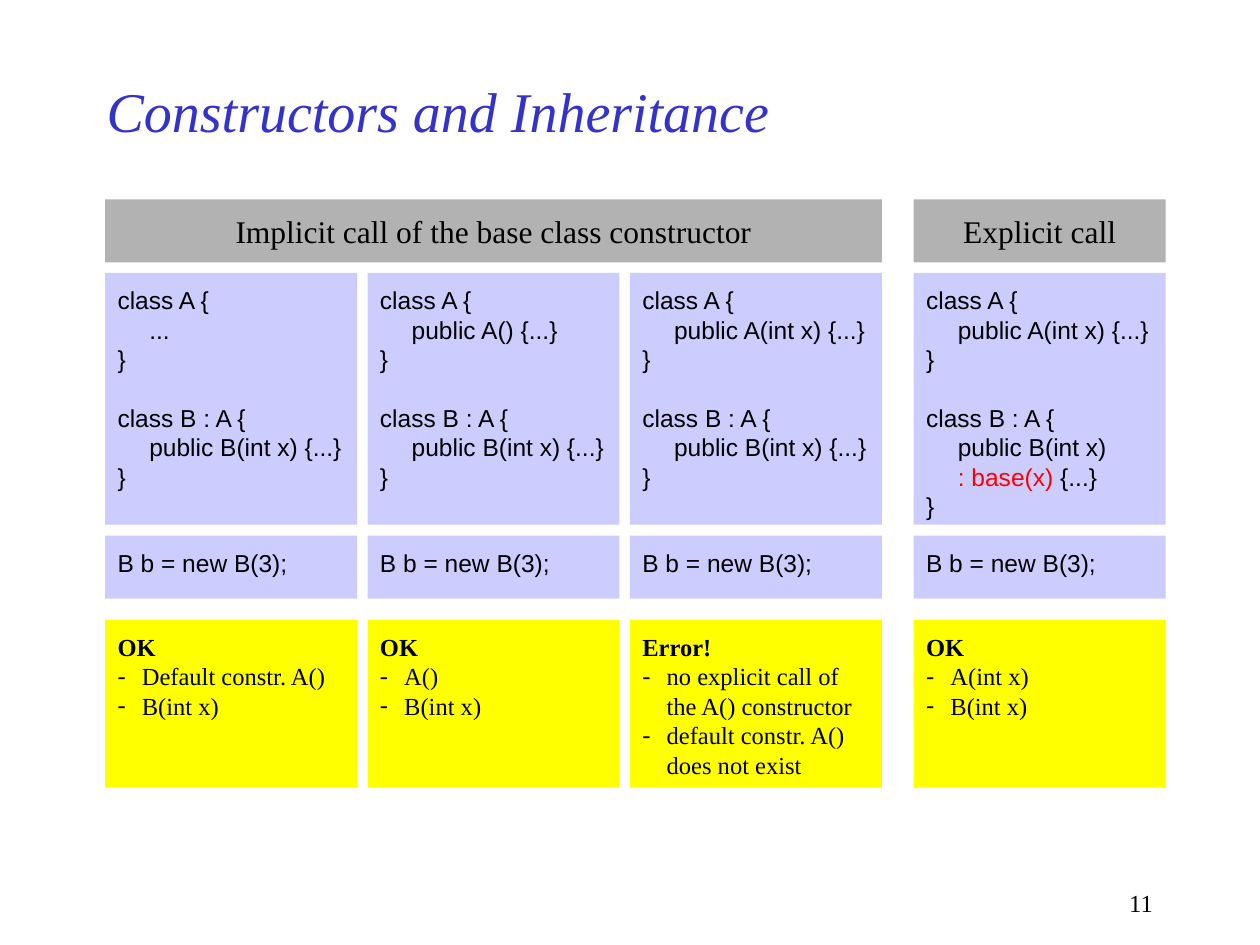
from dataclasses import dataclass

from lxml import etree
from pptx import Presentation
from pptx.dml.color import RGBColor
from pptx.enum.shapes import MSO_SHAPE
from pptx.enum.text import MSO_ANCHOR, PP_ALIGN
from pptx.oxml.ns import qn
from pptx.util import Cm, Pt

RECTANGLE = MSO_SHAPE.RECTANGLE
TOP, MIDDLE = MSO_ANCHOR.TOP, MSO_ANCHOR.MIDDLE
LEFT, CENTER, RIGHT = PP_ALIGN.LEFT, PP_ALIGN.CENTER, PP_ALIGN.RIGHT


@dataclass(frozen=True)
class Theme:
    title: str = "3333CC"
    text: str = "000000"
    accent: str = "FF0000"
    header: str = "B2B2B2"
    code: str = "CCCCFF"
    verdict: str = "FFFF00"
    serif: str = "Times New Roman"
    sans: str = "Arial"
    title_size: int = 32
    header_size: int = 18
    body_size: int = 14
    class_gap: float = 16.8


@dataclass(frozen=True)
class Band:
    """A horizontal row of boxes, in centimetres."""
    top: float
    height: float


@dataclass(frozen=True)
class Variant:
    """One column: two class bodies, the verdict and its reasons."""
    left: float
    base_body: str
    derived_body: tuple
    verdict: str
    reasons: tuple


THEME = Theme()

# Grid, in centimetres
COLUMN_WIDTH, COLUMN_PITCH, GRID_LEFT, EXPLICIT_LEFT = 5.08, 5.29, 2.12, 18.42
IMPLICIT_WIDTH = 2 * COLUMN_PITCH + COLUMN_WIDTH
HEADER, CLASSES = Band(4.02, 1.27), Band(5.5, 5.08)
CALL, VERDICT = Band(10.8, 1.27), Band(12.49, 3.39)
CODE_INDENT, DASH_INDENT = 0.64, 0.49
INSET, SLIM_INSET = 0.25, 0.13

B_BODY = ("public B(int x) {...}",)
VARIANTS = (
    Variant(GRID_LEFT, "...", B_BODY, "OK", ("Default constr. A()", "B(int x)")),
    Variant(GRID_LEFT + COLUMN_PITCH, "public A() {...}", B_BODY,
            "OK", ("A()", "B(int x)")),
    Variant(GRID_LEFT + 2 * COLUMN_PITCH, "public A(int x) {...}", B_BODY, "Error!",
            ("no explicit call of\nthe A() constructor",
             "default constr. A()\ndoes not exist")),
    Variant(EXPLICIT_LEFT, "public A(int x) {...}",
            ("public B(int x)", ((": base(x)", THEME.accent), (" {...}", THEME.text))),
            "OK", ("A(int x)", "B(int x)")),
)


def set_frame(box, anchor=TOP, vertical_inset: float = SLIM_INSET):
    """Set insets and anchor, and return the text frame."""
    frame = box.text_frame
    frame.word_wrap = True
    frame.vertical_anchor = anchor
    frame.margin_left = frame.margin_right = Cm(INSET)
    frame.margin_top = frame.margin_bottom = Cm(vertical_inset)
    return frame


def write(frame, text, *, font: str = THEME.serif, size: int = THEME.body_size,
          color: str = THEME.text, bold: bool = False, italic: bool = False,
          align=LEFT, before: float = 0, indent: float = 0,
          dash: bool = False) -> None:
    """Add a paragraph; text is a string or a sequence of (text, colour)."""
    first = frame.paragraphs[0]
    para = frame.add_paragraph() if first.runs else first
    para.alignment, para.line_spacing = align, 1.0
    para.space_before, para.space_after = Pt(before), Pt(0)
    properties = para._p.get_or_add_pPr()
    properties.set("marL", str(Cm(indent)))
    properties.set("indent", str(-Cm(indent) if dash else 0))
    if dash:
        etree.SubElement(properties, qn("a:buFont")).set("typeface", font)
        etree.SubElement(properties, qn("a:buChar")).set("char", "-")
    else:
        etree.SubElement(properties, qn("a:buNone"))

    spans = ((text, color),) if isinstance(text, str) else text
    for span_text, span_color in spans:
        for number, line in enumerate(span_text.split("\n")):
            if number:
                para.add_line_break()
            span = para.add_run()
            span.text = line
            span.font.name, span.font.size = font, Pt(size)
            span.font.bold, span.font.italic = bold, italic
            span.font.color.rgb = RGBColor.from_string(span_color)


def add_box(page, left: float, band: Band, fill: str, *, width: float = COLUMN_WIDTH,
            anchor=TOP, vertical_inset: float = INSET):
    """Draw a filled rectangle and return its text frame."""
    box = page.shapes.add_shape(RECTANGLE, Cm(left), Cm(band.top),
                                Cm(width), Cm(band.height))
    box.shadow.inherit = False
    box.fill.solid()
    box.fill.fore_color.rgb = RGBColor.from_string(fill)
    box.line.fill.background()
    return set_frame(box, anchor, vertical_inset)


def add_header(page, left: float, width: float, text: str) -> None:
    frame = add_box(page, left, HEADER, THEME.header, width=width,
                    anchor=MIDDLE, vertical_inset=SLIM_INSET)
    write(frame, text, size=THEME.header_size, align=CENTER)


def write_class(frame, heading: str, body: tuple, before: float = 0) -> None:
    write(frame, heading + " {", font=THEME.sans, before=before)
    for line in body:
        write(frame, line, font=THEME.sans, indent=CODE_INDENT)
    write(frame, "}", font=THEME.sans)


def add_variant(page, variant: Variant) -> None:
    """Draw one column: class definitions, constructor call, verdict."""
    classes = add_box(page, variant.left, CLASSES, THEME.code)
    write_class(classes, "class A", (variant.base_body,))
    write_class(classes, "class B : A", variant.derived_body, THEME.class_gap)

    call = add_box(page, variant.left, CALL, THEME.code)
    write(call, "B b = new B(3);", font=THEME.sans)

    verdict = add_box(page, variant.left, VERDICT, THEME.verdict)
    write(verdict, variant.verdict, bold=True)
    for reason in variant.reasons:
        write(verdict, reason, indent=DASH_INDENT, dash=True)


def main() -> None:
    deck = Presentation()
    deck.slide_width, deck.slide_height = Cm(25.4), Cm(19.05)
    page = deck.slides.add_slide(deck.slide_layouts.get_by_name("Title Only"))

    # Title
    title = page.shapes.title
    title.left, title.top, title.width, title.height = Cm(1.9), Cm(1.27), Cm(19.05), Cm(1.9)
    write(set_frame(title, MIDDLE), "Constructors and Inheritance",
          size=THEME.title_size, color=THEME.title, italic=True)

    # Columns and their headers
    for variant in VARIANTS:
        add_variant(page, variant)
    add_header(page, GRID_LEFT, IMPLICIT_WIDTH, "Implicit call of the base class constructor")
    add_header(page, EXPLICIT_LEFT, COLUMN_WIDTH, "Explicit call")

    # Page number
    number = page.shapes.add_textbox(Cm(18.2), Cm(17.78), Cm(5.29), Cm(0.85))
    write(set_frame(number), "11", align=RIGHT)

    deck.save("out.pptx")


if __name__ == "__main__":
    main()
